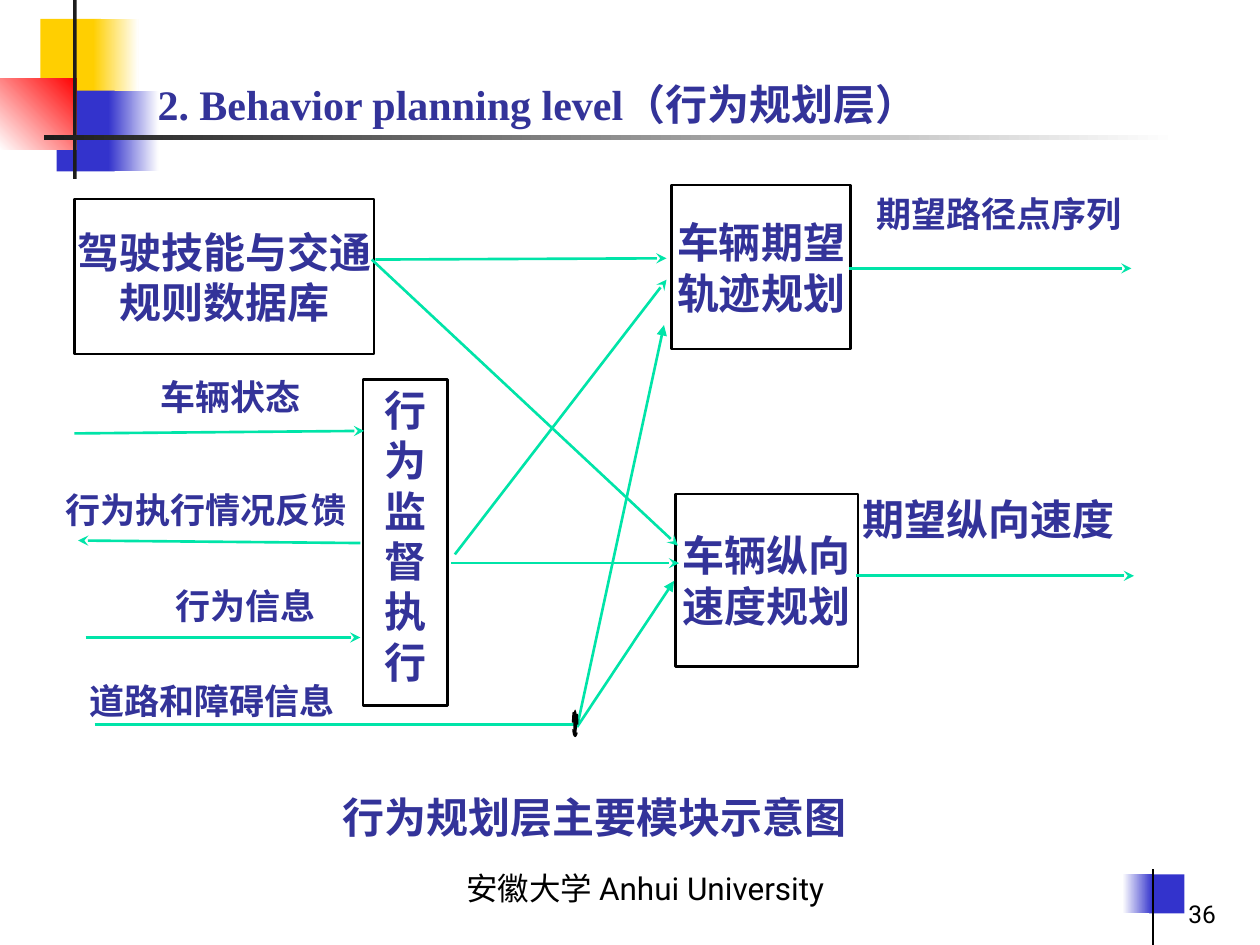
from dataclasses import dataclass

from lxml import etree
from pptx import Presentation
from pptx import util as u
from pptx.dml.color import RGBColor
from pptx.enum import dml, shapes, text
from pptx.oxml.ns import qn

CELL = u.Inches(0.1)
COLUMNS, ROWS = 100, 75
COLORS = {
    "ink": "333399", "arrow": "00E4A8", "black": "000000", "white": "FFFFFF",
    "gold": "FFCF01", "blue": "3333CC", "red": "FF0000", "charcoal": "1C1C1C",
}
SERIF, SANS, CJK = "Times New Roman", "Roboto", "Noto Sans CJK SC"
LEFT, CENTER, RIGHT = text.PP_ALIGN.LEFT, text.PP_ALIGN.CENTER, text.PP_ALIGN.RIGHT
TOP, MIDDLE, BOTTOM = text.MSO_ANCHOR.TOP, text.MSO_ANCHOR.MIDDLE, text.MSO_ANCHOR.BOTTOM


@dataclass(frozen=True)
class Area:
    column: float
    row: float
    columns: float
    rows: float

    def lengths(self) -> list[int]:
        return [cells(n) for n in (self.column, self.row, self.columns, self.rows)]


@dataclass(frozen=True)
class Style:
    size: int = 24
    font: str = SERIF
    color: str = "ink"
    bold: bool = True
    align: text.PP_ALIGN = CENTER
    anchor: text.MSO_ANCHOR = TOP
    insets: tuple[float, float, float, float] = (0, 0, 0, 0)


@dataclass(frozen=True)
class Block:
    area: Area
    start: str
    end: str = ""
    angle: int = 0


@dataclass(frozen=True)
class Words:
    area: Area
    wording: str
    style: Style = Style()


@dataclass(frozen=True)
class Link:
    start: tuple[float, float]
    end: tuple[float, float]
    head: str = "stealth"
    color: str = "arrow"
    width: float = 1.5


ROOMY = (1, 0.5, 1, 0.5)
LABEL = Style(size=20)
MODULE = Style(anchor=MIDDLE)
STACKED = Style(insets=(0.2, 0.4, 0.2, 0.1))
TITLE = Style(align=LEFT, insets=ROOMY)
FOOTER = Style(18, SANS, "black", False, CENTER, BOTTOM, ROOMY)
NUMBER = Style(14, SANS, "black", False, RIGHT, BOTTOM, ROOMY)

DECORATION = [
    Block(Area(3.2, 1.5, 4.8, 6.4), "gold"),
    Block(Area(7.4, 1.5, 3.6, 6.4), "gold", "white"),
    Block(Area(4.5, 7.2, 4.6, 6.4), "blue"),
    Block(Area(8.6, 7.2, 4, 6.4), "blue", "white"),
    Block(Area(0, 6.2, 6.1, 5.7), "white", "red", 45),
    Block(Area(5.8, 0, 0.3, 14.2), "charcoal"),
    Block(Area(3.5, 10.7, 90, 0.4), "charcoal", "white"),
    Block(Area(91.2, 69.4, 2.8, 3.1), "blue"),
    Block(Area(89.1, 69.4, 2.4, 3.1), "white", "blue"),
]
HEADING = Words(Area(11.5, 5.7, 67.7, 5), "2. Behavior planning level（行为规划层）", TITLE)
MODULES = [
    Words(Area(53.6, 39.2, 14.5, 13.7), "车辆纵向\n速度规划", MODULE),
    Words(Area(53.3, 14.7, 14.2, 13), "车辆期望\n轨迹规划", MODULE),
    Words(Area(5.9, 15.8, 23.8, 12.3), "驾驶技能与交通规则数据库", MODULE),
    Words(Area(28.8, 30.1, 6.7, 25.9), "行为监督执行", STACKED),
]
LABELS = [
    Words(Area(6.1, 53.9, 21.5, 7.6), "道路和障碍信息", LABEL),
    Words(Area(11.3, 29.8, 14, 6.9), "车辆状态", LABEL),
    Words(Area(12.5, 46.4, 14, 6.9), "行为信息", LABEL),
    Words(Area(3.5, 38.8, 25.7, 6.2), "行为执行情况反馈", LABEL),
    Words(Area(67.9, 39.2, 21.1, 5.4), "期望纵向速度"),
    Words(Area(67.6, 15.3, 23.4, 6.8), "期望路径点序列", LABEL),
    Words(Area(15.6, 62.8, 63.1, 7.7), "行为规划层主要模块示意图", Style(font=CJK)),
    Words(Area(19.3, 67.5, 63.8, 5), "安徽大学 Anhui University", FOOTER),
    Words(Area(76.7, 69, 20.8, 5.2), "36", NUMBER),
]
JUNCTION = Area(45.5, 56.3, 0.3, 2.1)
FORK = (45.8, 57.7)
LINKS = [
    Link((36.1, 44), (52.9, 22.2)),
    Link((35.8, 44.7), (53.9, 44.7)),
    Link((29.8, 20.6), (52.9, 20.5)),
    Link((29.5, 20.6), (53.8, 43.3)),
    Link(FORK, (52.7, 25.8), "triangle"),
    Link(FORK, (53.5, 46.1), "triangle"),
    Link((7.5, 57.5), (45.8, 57.5), ""),
    Link((28.6, 43.1), (6.2, 42.9)),
    Link((67.4, 21.3), (89.8, 21.3)),
    Link((67.9, 45.7), (90, 45.7)),
    Link((6.8, 50.6), (28.6, 50.6)),
    Link((5.9, 34.4), (28.9, 34.2)),
    Link((91.5, 69), (91.5, 75), "", "black", 0.75),
]


def cells(count: float) -> int:
    return round(count * CELL)


def color(name: str) -> RGBColor:
    return RGBColor.from_string(COLORS[name])


def write(shape, words: Words) -> None:
    style, frame = words.style, shape.text_frame
    frame.text = words.wording
    frame.word_wrap = True
    frame.auto_size = text.MSO_AUTO_SIZE.NONE
    frame.vertical_anchor = style.anchor
    (frame.margin_left, frame.margin_top,
     frame.margin_right, frame.margin_bottom) = map(cells, style.insets)
    for paragraph in frame.paragraphs:
        paragraph.alignment = style.align
        paragraph.font.name = style.font
        paragraph.font.size = u.Pt(style.size)
        paragraph.font.bold = style.bold
        paragraph.font.color.rgb = color(style.color)


def add_plain_shape(slide, kind: shapes.MSO_SHAPE, area: Area, fill: str):
    shape = slide.shapes.add_shape(kind, *area.lengths())
    shape.shadow.inherit = False
    shape.fill.solid()
    shape.fill.fore_color.rgb = color(fill)
    shape.line.fill.background()
    return shape


def outline(shape) -> None:
    shape.line.color.rgb = color("black")
    shape.line.width = u.Pt(1.5)


def add_block(slide, block: Block) -> None:
    shape = add_plain_shape(slide, shapes.MSO_SHAPE.RECTANGLE, block.area, block.start)
    if block.end:
        shape.fill.gradient()
        shape.fill.gradient_angle = block.angle
        for stop, name in zip(shape.fill.gradient_stops, (block.start, block.end)):
            stop.color.rgb = color(name)


def add_module(slide, words: Words) -> None:
    shape = add_plain_shape(slide, shapes.MSO_SHAPE.RECTANGLE, words.area, "white")
    outline(shape)
    write(shape, words)


def add_label(slide, words: Words) -> None:
    write(slide.shapes.add_textbox(*words.area.lengths()), words)


def add_link(slide, link: Link) -> None:
    ends = map(cells, (*link.start, *link.end))
    connector = slide.shapes.add_connector(shapes.MSO_CONNECTOR.STRAIGHT, *ends)
    connector.line.color.rgb = color(link.color)
    connector.line.width = u.Pt(link.width)
    properties = connector.element.spPr
    if link.head:
        etree.SubElement(properties.find(qn("a:ln")), qn("a:tailEnd"), type=link.head)
    etree.SubElement(properties, qn("a:effectLst"))


def main() -> None:
    presentation = Presentation()
    presentation.slide_width = cells(COLUMNS)
    presentation.slide_height = cells(ROWS)
    slide = presentation.slides.add_slide(presentation.slide_layouts.get_by_name("Title Only"))
    title = slide.shapes.title
    title.left, title.top, title.width, title.height = HEADING.area.lengths()
    write(title, HEADING)
    for block in DECORATION:
        add_block(slide, block)
    for module in MODULES:
        add_module(slide, module)
    for label in LABELS:
        add_label(slide, label)
    for link in LINKS:
        add_link(slide, link)
    junction = add_plain_shape(slide, shapes.MSO_SHAPE.OVAL, JUNCTION, "black")
    outline(junction)
    junction.line.dash_style = dml.MSO_LINE.DASH
    presentation.save("out.pptx")


if __name__ == "__main__":
    main()
